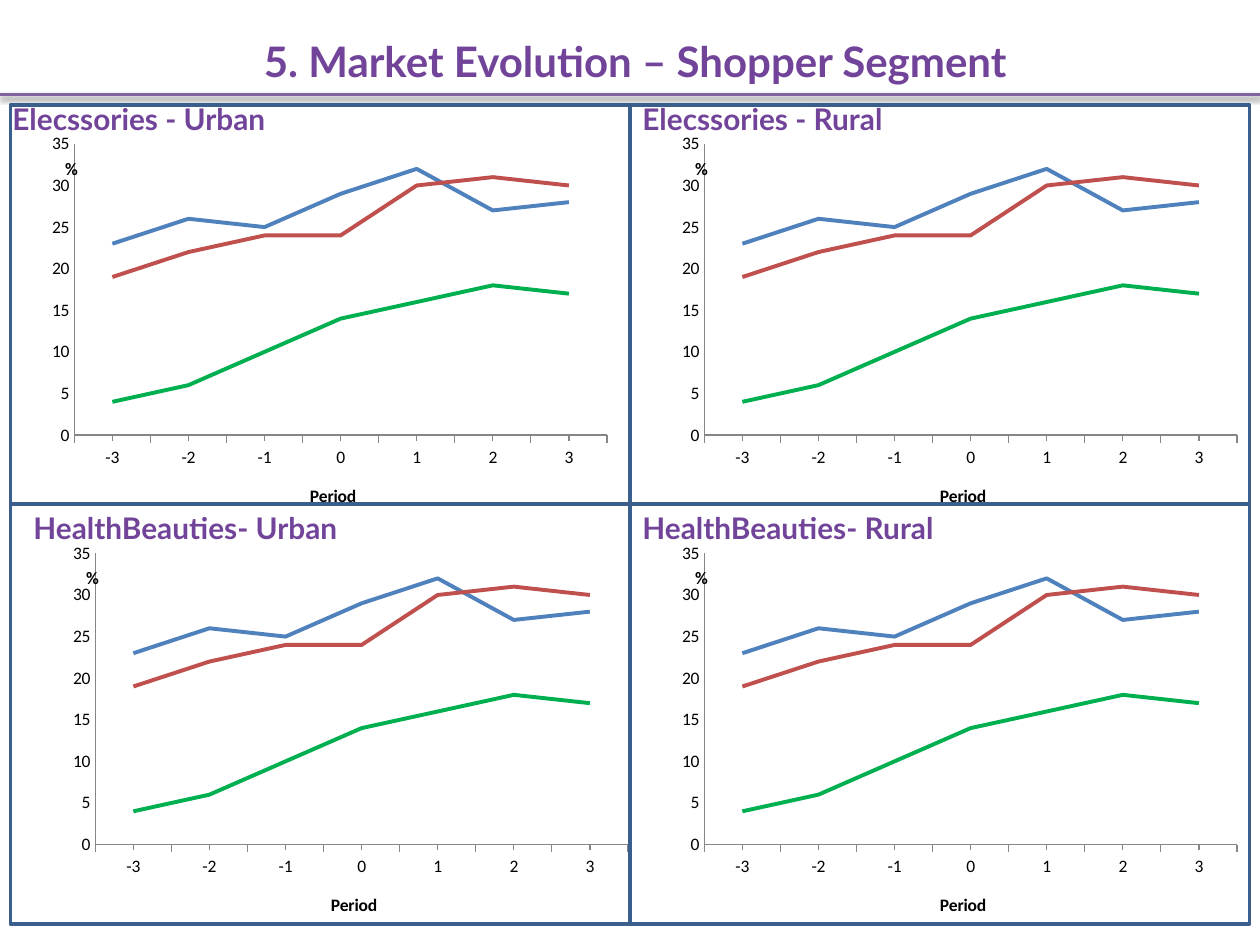
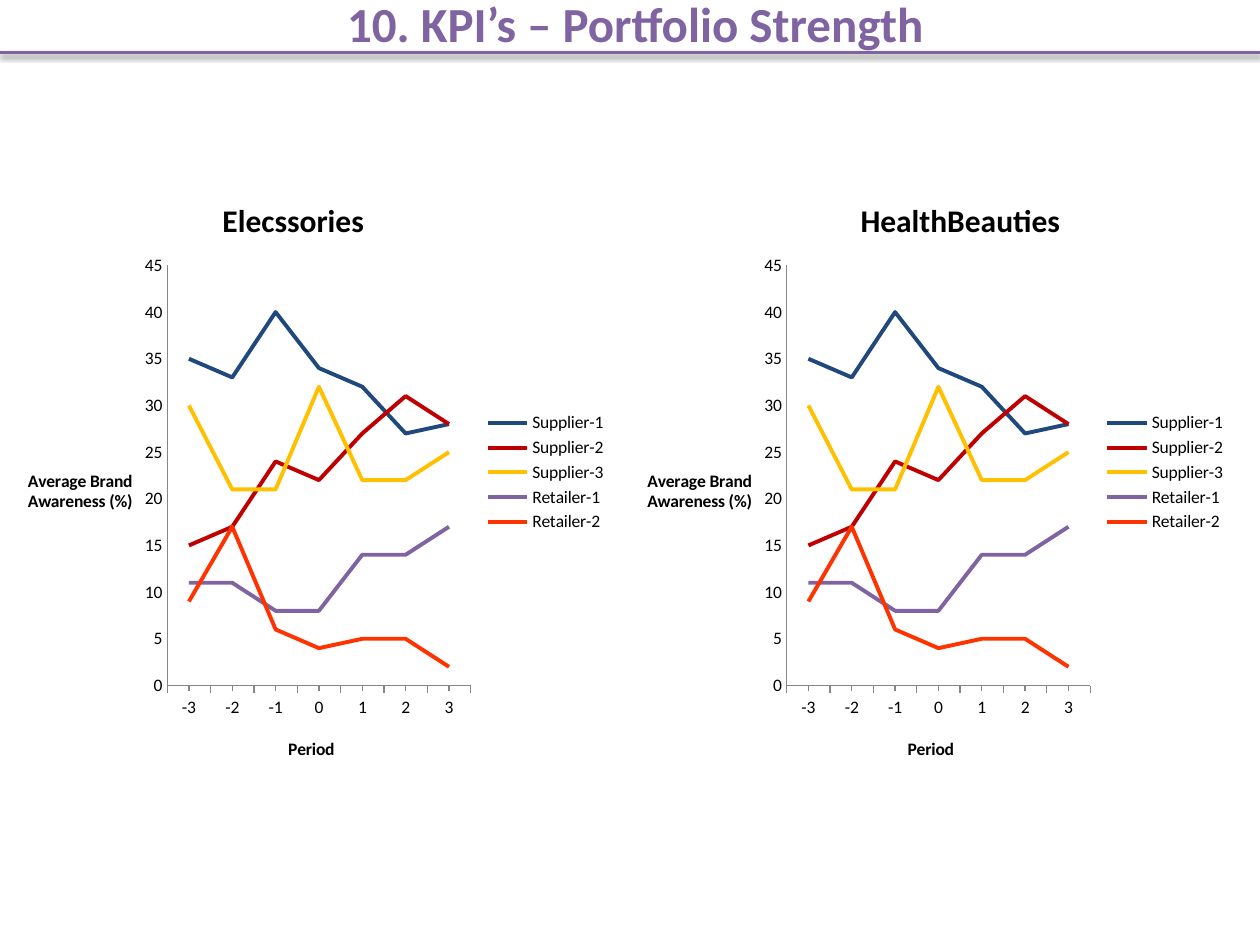
from lxml import etree
from pptx import Presentation
from pptx.chart.data import CategoryChartData
from pptx.dml.color import RGBColor
from pptx.enum.chart import XL_CHART_TYPE, XL_LEGEND_POSITION, XL_TICK_MARK
from pptx.enum.shapes import MSO_CONNECTOR, MSO_SHAPE
from pptx.enum.text import MSO_ANCHOR, PP_ALIGN
from pptx.oxml import parse_xml
from pptx.oxml.ns import nsdecls, qn
from pptx.util import Inches, Pt

LINE_CHART = XL_CHART_TYPE.LINE
LEGEND_RIGHT = XL_LEGEND_POSITION.RIGHT
TICK_NONE = XL_TICK_MARK.NONE
TICK_OUTSIDE = XL_TICK_MARK.OUTSIDE
STRAIGHT = MSO_CONNECTOR.STRAIGHT
RECTANGLE = MSO_SHAPE.RECTANGLE
MIDDLE = MSO_ANCHOR.MIDDLE
CENTER = PP_ALIGN.CENTER

COLUMNS, ROWS = 120, 90
UNIT = Inches(10) / COLUMNS
HEADING_FONT, CHART_FONT = "Lato", "Calibri"
HEADING, RULE, PANEL_LINE = "71449A", "8064A2", "3A5F8C"
AXIS, BLACK = "868686", "000000"
PERIODS = ["-3", "-2", "-1", "0", "1", "2", "3"]

SEGMENTS = [
    ("Series 1", "4F81BD", (23, 26, 25, 29, 32, 27, 28)),
    ("Series 2", "C0504D", (19, 22, 24, 24, 30, 31, 30)),
    ("Series 3", "00B050", (4, 6, 10, 14, 16, 18, 17)),
]
AWARENESS = [
    ("Supplier-1", "1F497D", (35, 33, 40, 34, 32, 27, 28)),
    ("Supplier-2", "C00000", (15, 17, 24, 22, 27, 31, 28)),
    ("Supplier-3", "FFC000", (30, 21, 21, 32, 22, 22, 25)),
    ("Retailer-1", "8064A2", (11, 11, 8, 8, 14, 14, 17)),
    ("Retailer-2", "FF3300", (9, 17, 6, 4, 5, 5, 2)),
]
SEGMENT_LAYOUT = {
    "plot": (0.12, 0.045, 0.86, 0.73),
    "value": (0.1, 0.07),
    "category": (0.495, 0.89),
}
AWARENESS_LAYOUT = {
    "plot": (0.27, 0.16, 0.49, 0.69),
    "value": (0.04, 0.49),
    "category": (0.46, 0.93),
}


def color(hex_string):
    return RGBColor.from_string(hex_string)


def grid(*cells):
    return [round(cell * UNIT) for cell in cells]


def set_font(font, name, size, hex_string, bold=False):
    font.name, font.size, font.bold = name, Pt(size), bold
    font.color.rgb = color(hex_string)


def add_text(slide, box, text, font_name, size, hex_string, centered=False):
    frame = slide.shapes.add_textbox(*grid(*box)).text_frame
    frame.word_wrap = centered
    paragraph = frame.paragraphs[0]
    if centered:
        frame.margin_top = frame.margin_bottom = 0
        frame.vertical_anchor = MIDDLE
        paragraph.alignment = CENTER
    run = paragraph.add_run()
    run.text = text
    set_font(run.font, font_name, size, hex_string, True)


def add_rule(slide, row):
    rule = slide.shapes.add_connector(STRAIGHT, *grid(0, row, COLUMNS, row))
    rule.line.color.rgb = color(RULE)
    rule.line.width = Pt(2)
    rule._element.spPr.append(parse_xml(
        f'<a:effectLst {nsdecls("a")}><a:outerShdw blurRad="{Pt(3.1)}" '
        f'dist="{Pt(1.6)}" dir="5400000" rotWithShape="0"><a:srgbClr val="{BLACK}">'
        '<a:alpha val="38000"/></a:srgbClr></a:outerShdw></a:effectLst>'))


def add_heading(slide, text, font_name, size, hex_string, box, rule_row):
    add_text(slide, box, text, font_name, size, hex_string, True)
    add_rule(slide, rule_row)


def place(element, shares, inner=False):
    for old in element.findall(qn("c:layout")):
        element.remove(old)
    layout = parse_xml(f'<c:layout {nsdecls("c")}><c:manualLayout/></c:layout>')
    settings = [("layoutTarget", "inner")] if inner else []
    settings += [("xMode", "edge"), ("yMode", "edge")]
    settings += zip("xywh", shares)
    for name, value in settings:
        etree.SubElement(layout[0], qn(f"c:{name}")).set("val", str(value))
    text = element.find(qn("c:tx"))
    if text is None:
        element.insert(0, layout)
    else:
        text.addnext(layout)


def add_title(owner, text, size, position):
    title = owner.chart_title if hasattr(owner, "chart_title") else owner.axis_title
    frame = title.text_frame
    run = frame.paragraphs[0].add_run()
    run.text = text
    set_font(run.font, CHART_FONT, size, BLACK, True)
    frame._txBody.bodyPr.set("rot", "0")
    frame._txBody.bodyPr.set("vert", "horz")
    place(title._element, position)


def add_line_chart(slide, box, series_rows, maximum, value_title, layout):
    data = CategoryChartData(number_format="0")
    data.categories = PERIODS
    for name, _, values in series_rows:
        data.add_series(name, values)
    chart = slide.shapes.add_chart(LINE_CHART, *grid(*box), data).chart
    set_font(chart.font, CHART_FONT, 10, BLACK)
    chart.has_legend = False
    chart.has_title = False
    plot = chart.plots[0]
    plot.vary_by_categories = False
    for series, (_, hex_string, _) in zip(plot.series, series_rows):
        series.smooth = False
        series.format.line.color.rgb = color(hex_string)
        series.format.line.width = Pt(2.25)

    value_axis, category_axis = chart.value_axis, chart.category_axis
    for axis, tick in ((value_axis, TICK_NONE), (category_axis, TICK_OUTSIDE)):
        axis.has_major_gridlines = False
        axis.major_tick_mark = axis.minor_tick_mark = tick
        axis.format.line.color.rgb = color(AXIS)
    value_axis.minimum_scale = 0
    value_axis.maximum_scale = maximum
    value_axis.major_unit = 5
    add_title(value_axis, value_title, 10, layout["value"])
    add_title(category_axis, "Period", 10, layout["category"])
    place(chart._chartSpace.chart.plotArea, layout["plot"], True)
    return chart


def add_segment_panel(slide, box, text, shift):
    left, top, width, height = box
    panel = slide.shapes.add_shape(RECTANGLE, *grid(*box))
    panel.shadow.inherit = False
    panel.fill.background()
    panel.line.color.rgb = color(PANEL_LINE)
    panel.line.width = Pt(2)
    left, top = left + shift[0], top + shift[1]
    add_line_chart(slide, (left, top + 3, width, 38),
                   SEGMENTS, 35, "%", SEGMENT_LAYOUT)
    add_text(slide, (left, top, 32, 4.7), text, HEADING_FONT, 17, HEADING)


def add_awareness_chart(slide, box, text, title_left):
    chart = add_line_chart(slide, box, AWARENESS, 45,
                           "Average Brand Awareness (%)", AWARENESS_LAYOUT)
    chart.has_title = True
    add_title(chart, text, 18, (title_left, 0.04))
    chart.has_legend = True
    chart.legend.position = LEGEND_RIGHT
    chart.legend.include_in_layout = False


def build_segment_slide(slide):
    add_heading(slide, "5. Market Evolution – Shopper Segment",
                HEADING_FONT, 24, HEADING, (2, 0.6, 117, 10.4), 9)
    panels = [
        ("Elecssories - Urban", 0, 0, (-1, -1)),
        ("Elecssories - Rural", 1, 0, (0, -1)),
        ("HealthBeauties- Urban", 0, 1, (1, 0)),
        ("HealthBeauties- Rural", 1, 1, (0, 0)),
    ]
    for text, column, row, shift in panels:
        box = (1 + 59 * column, 10 + 38 * row, 59, 38 + 2 * row)
        add_segment_panel(slide, box, text, shift)


def build_awareness_slide(slide):
    add_heading(slide, "10. KPI’s – Portfolio Strength",
                CHART_FONT, 28, RULE, (2, 0, 117, 4.4), 5)
    charts = [("Elecssories", 0.35), ("HealthBeauties", 0.38)]
    for column, (text, title_left) in enumerate(charts):
        add_awareness_chart(slide, (59 * column, 16, 59, 58), text, title_left)


def main():
    presentation = Presentation()
    presentation.slide_width, presentation.slide_height = grid(COLUMNS, ROWS)
    blank = presentation.slide_layouts[6]
    for build in (build_segment_slide, build_awareness_slide):
        build(presentation.slides.add_slide(blank))
    presentation.save("out.pptx")


if __name__ == "__main__":
    main()
